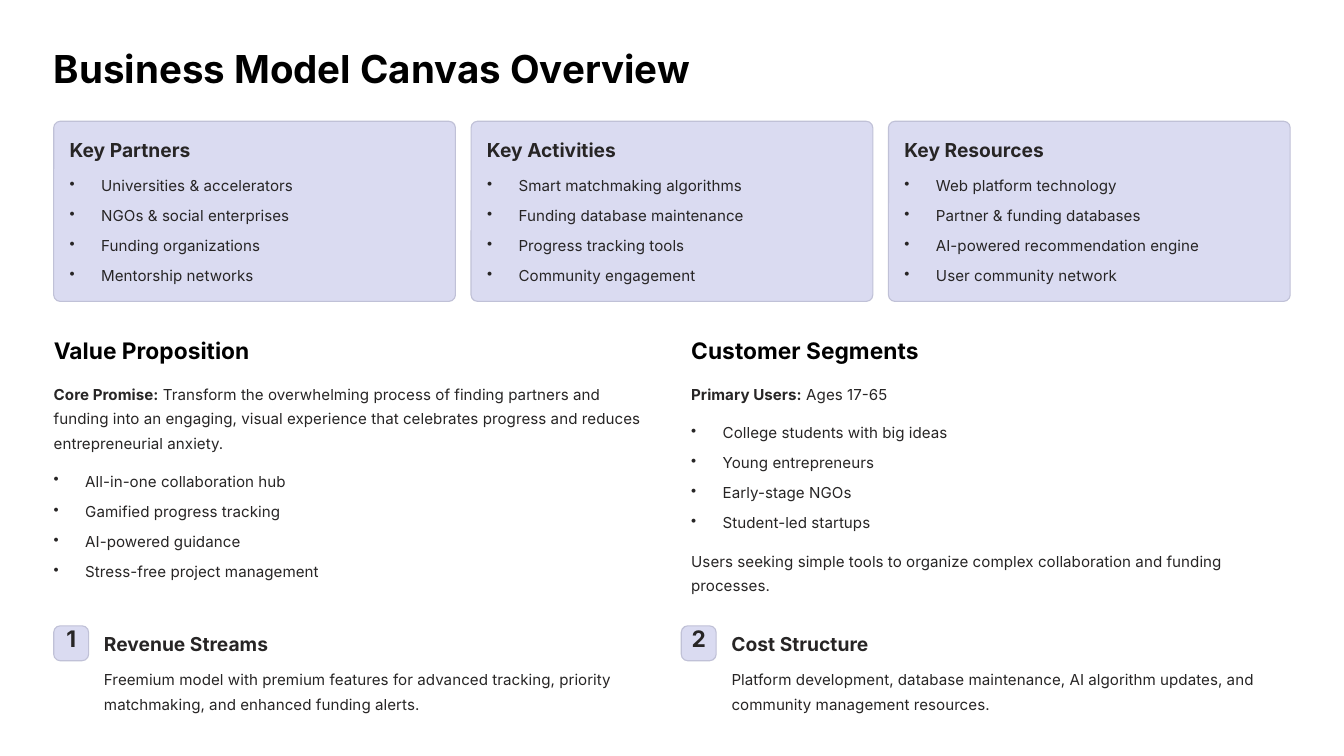
"""Build a one-slide business model canvas overview."""
from dataclasses import dataclass

from lxml import etree
from pptx import Presentation
from pptx.dml.color import RGBColor
from pptx.enum.shapes import MSO_SHAPE
from pptx.enum.text import PP_ALIGN
from pptx.oxml.ns import qn
from pptx.util import Pt

ROUNDED = MSO_SHAPE.ROUNDED_RECTANGLE
LEFT, CENTER = PP_ALIGN.LEFT, PP_ALIGN.CENTER


@dataclass(frozen=True)
class Theme:
    font: str = "Inter"
    heading: RGBColor = RGBColor(0x00, 0x00, 0x00)
    ink: RGBColor = RGBColor(0x27, 0x25, 0x25)
    panel: RGBColor = RGBColor(0xDA, 0xDB, 0xF1)
    border: RGBColor = RGBColor(0xC0, 0xC1, 0xD7)
    title_size: float = 20.6
    section_size: float = 12.2
    card_size: float = 10.3
    body_size: float = 8.1


THEME = Theme()
MARGIN = 28.8
ROW_PITCH = 16.1
BULLET_INDENT = 16.9

deck = Presentation()
deck.slide_width, deck.slide_height = Pt(720), Pt(405)
slide = deck.slides.add_slide(deck.slide_layouts[6])


def add_text(text, left, top, width, height=13.1, *, size=THEME.body_size, color=THEME.ink,
             bold=False, leading=13.1, align=LEFT, bullet=False, wrap=False, label=""):
    box = slide.shapes.add_textbox(Pt(left), Pt(top), Pt(width), Pt(height))
    frame = box.text_frame
    frame.margin_left = frame.margin_top = frame.margin_right = frame.margin_bottom = 0
    frame.word_wrap = wrap
    paragraph = frame.paragraphs[0]
    paragraph.alignment = align
    paragraph.line_spacing = Pt(leading)
    if bullet:
        properties = paragraph._p.get_or_add_pPr()
        properties.set("marL", str(Pt(BULLET_INDENT)))
        properties.set("indent", str(-Pt(BULLET_INDENT)))
        etree.SubElement(properties, qn("a:buChar")).set("char", "•")
    for words, strong in ((label, True), (text, bold)):
        if words:
            run = paragraph.add_run()
            run.text = words
            run.font.name = THEME.font
            run.font.size = Pt(size)
            run.font.bold = strong
            run.font.color.rgb = color


def add_panel(left, top, width, height, rounding):
    panel = slide.shapes.add_shape(ROUNDED, Pt(left), Pt(top), Pt(width), Pt(height))
    panel.adjustments[0] = rounding
    panel.shadow.inherit = False
    panel.fill.solid()
    panel.fill.fore_color.rgb = THEME.panel
    panel.line.color.rgb = THEME.border
    panel.line.width = Pt(0.6)


add_text("Business Model Canvas Overview", MARGIN, 23.2, 341.3, 25.6,
         size=THEME.title_size, color=THEME.heading, bold=True, leading=25.6)

cards = {
    "Key Partners": ["Universities & accelerators", "NGOs & social enterprises",
                     "Funding organizations", "Mentorship networks"],
    "Key Activities": ["Smart matchmaking algorithms", "Funding database maintenance",
                       "Progress tracking tools", "Community engagement"],
    "Key Resources": ["Web platform technology", "Partner & funding databases",
                      "AI-powered recommendation engine", "User community network"],
}
for column, (card_title, items) in enumerate(cards.items()):
    card_left = MARGIN + column * 223.6
    add_panel(card_left, 65, 215.2, 96.5, 0.036)
    text_left = card_left + 8.5
    add_text(card_title, text_left, 73.5, 103, 12.8, size=THEME.card_size,
             bold=True, leading=12.8)
    for row, item in enumerate(items):
        add_text(item, text_left, 91.3 + row * ROW_PITCH, 198, bullet=True)

sections = [
    (MARGIN, "Value Proposition", "Core Promise:",
     " Transform the overwhelming process of finding partners and funding into an engaging, "
     "visual experience that celebrates progress and reduces entrepreneurial anxiety.", 3,
     ["All-in-one collaboration hub", "Gamified progress tracking",
      "AI-powered guidance", "Stress-free project management"]),
    (370.3, "Customer Segments", "Primary Users:", " Ages 17-65", 1,
     ["College students with big ideas", "Young entrepreneurs",
      "Early-stage NGOs", "Student-led startups"]),
]
for section_left, heading, label, intro, line_count, items in sections:
    add_text(heading, section_left, 179.6, 123.8, 15.3, size=THEME.section_size,
             color=THEME.heading, bold=True, leading=15.3)
    intro_height = line_count * 13.1
    add_text(intro, section_left, 202.9, 321.1, intro_height, label=label, wrap=line_count > 1)
    list_top = 202.9 + intro_height + 7.5
    for row, item in enumerate(items):
        add_text(item, section_left, list_top + row * ROW_PITCH, 321.1, bullet=True)

add_text("Users seeking simple tools to organize complex collaboration and funding processes.",
         370.3, 292.4, 321.1, 26.2, wrap=True)

finances = [
    ("Revenue Streams", "Freemium model with premium features for advanced tracking, "
     "priority matchmaking, and enhanced funding alerts."),
    ("Cost Structure", "Platform development, database maintenance, AI algorithm updates, "
     "and community management resources."),
]
for index, (heading, description) in enumerate(finances):
    badge_left = MARGIN + index * 336.2
    add_panel(badge_left, 335.3, 18.7, 18.7, 0.187)
    add_text(str(index + 1), badge_left + 3.1, 336.9, 12.5, 15.3, size=THEME.section_size,
             bold=True, leading=12.2, align=CENTER)
    add_text(heading, badge_left + 26.9, 338.2, 103, 12.8, size=THEME.card_size,
             bold=True, leading=12.8)
    add_text(description, badge_left + 26.9, 355.9, 298.8, 26.2, wrap=True)

deck.save("out.pptx")
